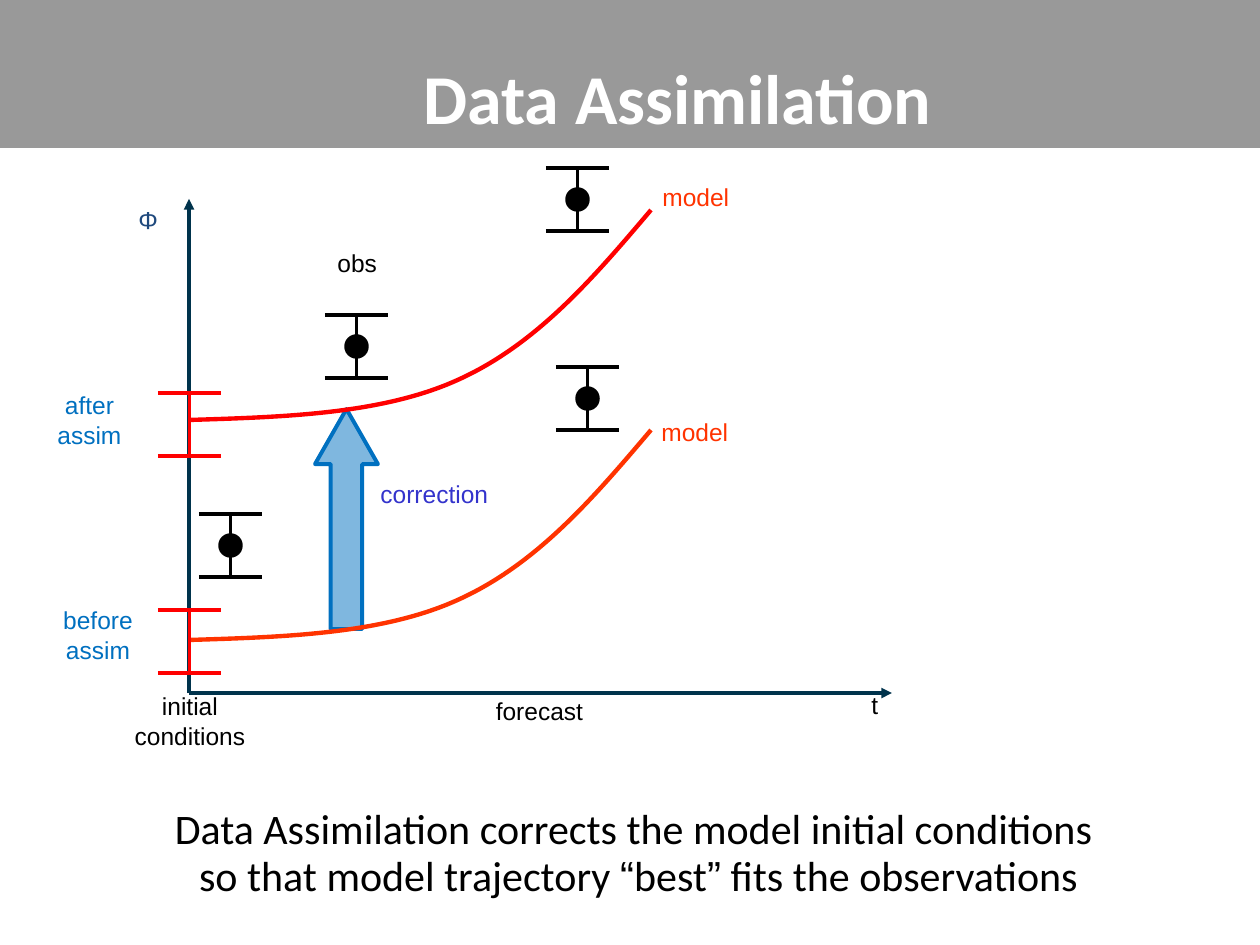
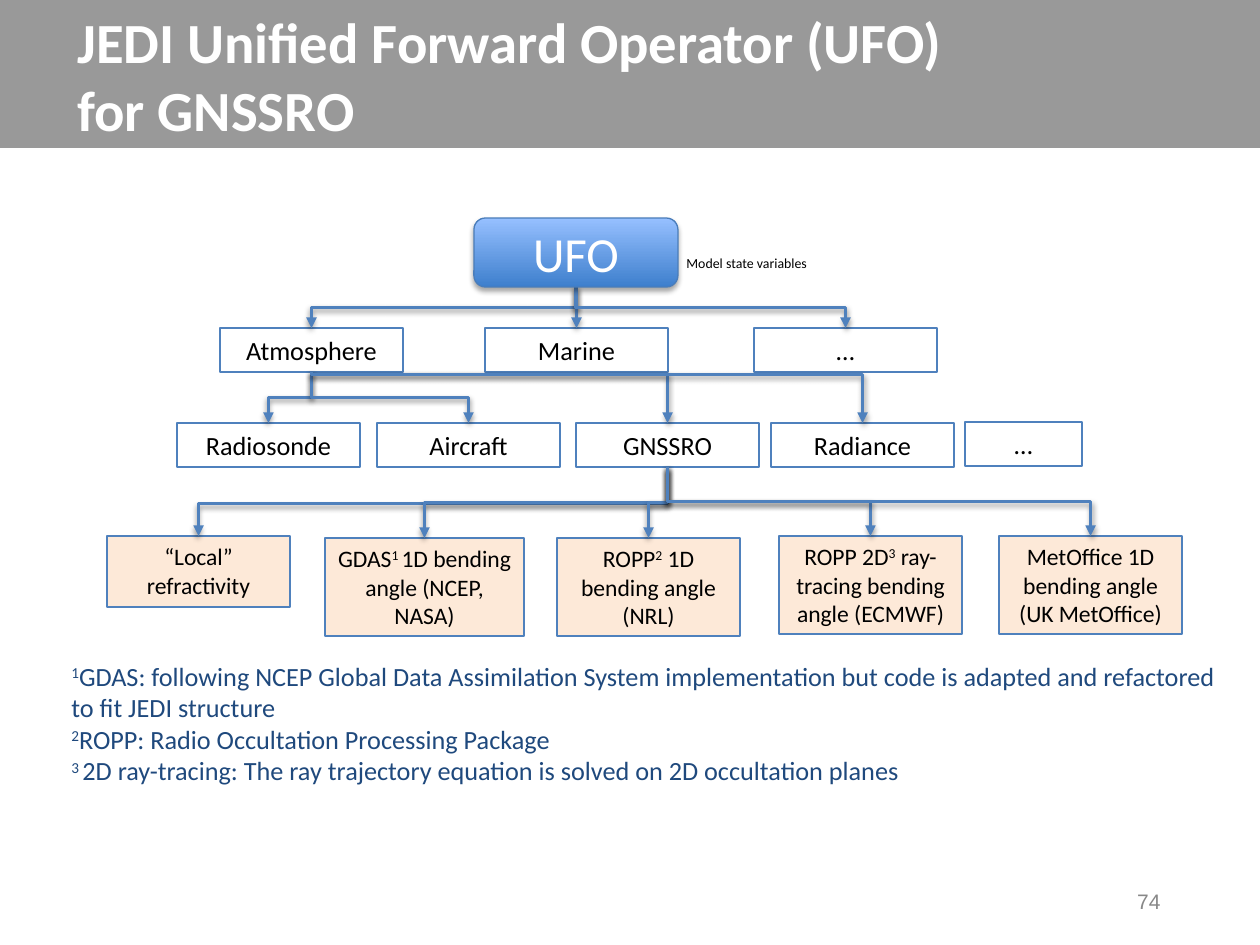
import pptx
import pptx.util
import pptx.dml.color
import pptx.enum.shapes
import pptx.enum.text
import pptx.oxml
import pptx.oxml.ns
from lxml import etree

PX = 914400 / 126
BLACK, WHITE, BLUE, NAVY = "000000", "FFFFFF", "4F81BD", "1F497D"
RED, ORANGE, SKY, AXIS = "FF0000", "FF3300", "0070C0", "00334C"
PEACH = "FDE9D8"
SHAPE = pptx.enum.shapes.MSO_SHAPE
CONNECTOR = pptx.enum.shapes.MSO_CONNECTOR
ANCHOR = pptx.enum.text.MSO_ANCHOR
AUTO = pptx.enum.text.MSO_AUTO_SIZE
ALIGN = {"l": pptx.enum.text.PP_ALIGN.LEFT,
         "c": pptx.enum.text.PP_ALIGN.CENTER,
         "r": pptx.enum.text.PP_ALIGN.RIGHT}
qn = pptx.oxml.ns.qn


def emu(*lengths):
    return [pptx.util.Emu(round(n * PX)) for n in lengths]


def rgb(color):
    return pptx.dml.color.RGBColor.from_string(color)


def set_line(sp, color, width):
    sp.line.color.rgb = rgb(color)
    sp.line.width = pptx.util.Pt(width)


def set_effects(sp, alpha=0, blur=0, dist=0):
    spPr = sp._element.spPr
    for old in spPr.findall(qn("a:effectLst")):
        spPr.remove(old)
    effects = etree.SubElement(spPr, qn("a:effectLst"))
    if alpha:
        shadow = etree.SubElement(
            effects, qn("a:outerShdw"), blurRad=str(round(blur * 12700)),
            dist=str(round(dist * 12700)), dir="5400000", rotWithShape="0")
        clr = etree.SubElement(shadow, qn("a:srgbClr"), val=BLACK)
        etree.SubElement(clr, qn("a:alpha"), val=str(alpha * 1000))


def add_box(s, kind, box, fill=None, line=None, width=1, alpha=100):
    sp = s.shapes.add_shape(kind, *emu(*box))
    sp.shadow.inherit = False
    if fill:
        sp.fill.solid()
        sp.fill.fore_color.rgb = rgb(fill)
        if alpha < 100:
            clr = sp._element.spPr.find(qn("a:solidFill"))[0]
            etree.SubElement(clr, qn("a:alpha"), val=str(alpha * 1000))
    else:
        sp.fill.background()
    if line:
        set_line(sp, line, width)
    else:
        sp.line.fill.background()
    return sp


def write(sp, paragraphs, size, color=BLACK, font="Calibri", align="l", bold=False,
          anchor=ANCHOR.TOP, wrap=True, grow=False, accent_font=None):
    tf = sp.text_frame
    tf.word_wrap = wrap
    tf.auto_size = AUTO.SHAPE_TO_FIT_TEXT if grow else AUTO.NONE
    tf.vertical_anchor = anchor
    for i, text in enumerate(paragraphs):
        p = tf.add_paragraph() if i else tf.paragraphs[0]
        p.alignment = ALIGN[align]
        for j, part in enumerate(text.split("^")):
            if not part:
                continue
            r = p.add_run()
            r.text = part
            r.font.size = pptx.util.Pt(size)
            r.font.bold = bold
            r.font.color.rgb = rgb(color)
            r.font.name = font
            if j % 2 and accent_font:
                r.font.name = accent_font
            elif j % 2:
                r.font._element.set("baseline", "30000")
    return tf


def add_text(s, box, paragraphs, size, **style):
    return write(s.shapes.add_textbox(*emu(*box)), paragraphs, size, **style)


def add_arrowhead(c):
    etree.SubElement(c.line._get_or_add_ln(), qn("a:tailEnd"), type="triangle")


def add_line(s, x1, y1, x2, y2, color, arrow=False):
    c = s.shapes.add_connector(CONNECTOR.STRAIGHT, *emu(x1, y1, x2, y2))
    set_line(c, color, 2)
    if arrow:
        add_arrowhead(c)
    set_effects(c)


def add_branch(s, parent, child, bend):
    x1, y1 = parent[0] + parent[2] / 2, parent[1] + parent[3]
    x2, y2 = child[0] + child[2] / 2, child[1]
    w, h = y2 - y1, abs(x2 - x1)
    left, top = (x1 + x2 - w) / 2, (y1 + y2 - h) / 2
    c = s.shapes.add_connector(CONNECTOR.ELBOW, *emu(left, top, left + w, top + h))
    xfrm = c._element.spPr.find(qn("a:xfrm"))
    if x2 < x1:
        xfrm.set("rot", "5400000")
    else:
        xfrm.set("rot", "16200000")
        xfrm.set("flipH", "1")
    guides = c._element.spPr.find(qn("a:prstGeom")).find(qn("a:avLst"))
    etree.SubElement(guides, qn("a:gd"), name="adj1", fmla=f"val {round(bend * 100000)}")
    set_line(c, BLUE, 2)
    add_arrowhead(c)
    set_effects(c, 38, 3.1, 1.6)


def add_header(s, box, title, size, align):
    add_box(s, SHAPE.RECTANGLE, (0, 0, 1260, 148), BLACK, alpha=40)
    add_text(s, box, [title], size, color=WHITE, align=align, bold=True,
             anchor=ANCHOR.MIDDLE)


def add_error_bar(s, x, y, color, dot=False):
    size = 63
    for bar_y in (y, y + size):
        add_line(s, x, bar_y, x + size, bar_y, color)
    add_line(s, x + size / 2, y, x + size / 2, y + size, color)
    if dot:
        add_box(s, SHAPE.OVAL, (x + 21, y + 21, 21, 21), color, color, 2)


def add_trajectory(s, x, y, color):
    points = [(0, 210), (98, 207), (197, 204), (273, 168), (350, 132), (406, 66), (462, 0)]
    points = [emu(x + dx, y + dy) for dx, dy in points]
    builder = s.shapes.build_freeform(*points[0])
    builder.add_line_segments(points[1:], close=False)
    sp = builder.convert_to_shape()
    path = next(sp._element.iter(qn("a:path")))
    steps = path.findall(qn("a:lnTo"))
    for i in range(0, len(steps), 3):
        curve = etree.SubElement(path, qn("a:cubicBezTo"))
        for step in steps[i:i + 3]:
            curve.append(step[0])
            path.remove(step)
    sp.shadow.inherit = False
    sp.fill.background()
    set_line(sp, color, 2.5)


def add_assimilation_plot(s, x, y, w, h):
    add_line(s, x, y + h, x + w, y + h, AXIS, arrow=True)
    add_line(s, x, y + h, x, y, AXIS, arrow=True)
    arrow = add_box(s, SHAPE.UP_ARROW, (x + 126, y + 210, 63, 220), SKY, SKY, 2.25, 50)
    arrow.adjustments[0], arrow.adjustments[1] = 0.5, 0.875
    for dx, dy in ((136, 116), (357, -31), (367, 168), (10, 315)):
        add_error_bar(s, x + dx, y + dy, BLACK, dot=True)
    for curve_y, bar_y, color in ((231, 411, ORANGE), (11, 194, RED)):
        add_trajectory(s, x, y + curve_y, color)
        add_error_bar(s, x - 31, y + bar_y, RED)
    labels = [
        (670, 485, 35, 54, ["t"], BLACK, "l"),
        (-63, 0, 52, 54, ["Φ"], NAVY, "l"),
        (179, 274, 198, 63, ["correction"], "3333CC", "l"),
        (-67, 486, 136, 72, ["initial", "conditions"], BLACK, "c"),
        (136, 43, 84, 54, ["obs"], BLACK, "l"),
        (460, 212, 121, 54, ["model"], ORANGE, "l"),
        (461, -23, 121, 54, ["model"], ORANGE, "l"),
        (-139, 400, 96, 72, ["before", "assim"], SKY, "c"),
        (-144, 185, 89, 72, ["after", "assim"], SKY, "c"),
        (294, 491, 113, 43, ["forecast"], BLACK, "c"),
    ]
    for dx, dy, lw, lh, text, color, align in labels:
        add_text(s, (x + dx, y + dy, lw, lh), text, 14, color=color, font="Arial",
                 align=align, wrap=False, grow=True)


def add_conclusion(s, box):
    tf = add_text(s, box, ["Data Assimilation corrects the model initial conditions ",
                           "so that model trajectory ^“^best^”^ fits the observations"],
                  24, align="c", accent_font="Arial")
    for p in tf.paragraphs:
        p.line_spacing = 0.8
    tf.paragraphs[1].space_before = pptx.util.Pt(3.6)


def add_root(s, box):
    sp = add_box(s, SHAPE.ROUNDED_RECTANGLE, box, BLUE, "4A7DBA", 0.75)
    sp.fill.gradient()
    sp.fill.gradient_angle = 90
    for stop, color in zip(sp.fill.gradient_stops, ("3E7FCD", "96C0FF")):
        stop.color.rgb = rgb(color)
    set_effects(sp, 35, 3.1, 1.8)
    write(sp, ["UFO"], 28, color=WHITE, align="c", anchor=ANCHOR.MIDDLE)


def add_level(s, x, y, parent, nodes, size, fill=None):
    boxes = []
    for dx, dy, w, h, text, bend in nodes:
        box = (x + dx, y + dy, w, h)
        sp = add_box(s, SHAPE.RECTANGLE, box, fill, BLUE)
        write(sp, [text], size, align="c", grow=True)
        if bend:
            add_branch(s, parent, box, bend)
        boxes.append(box)
    return boxes


def add_operator_tree(s, x, y):
    w, h = 183, 44
    root = (x + 367, y, 204, 69)
    domains = [(113, 0, w, h, "Atmosphere", 0.5), (378, 0, w, h, "Marine", 0.5),
               (647, 0, w, h, "…", 0.5)]
    sources = [(70, 0, w, h, "Radiosonde", 0.5), (270, 0, w, h, "Aircraft", 0.5),
               (469, 0, w, h, "GNSSRO", 0.05), (664, 0, w, h, "Radiance", 0.05),
               (858, -1, 117, h, "…", None)]
    operators = [(0, 0, w, 71, "“Local” refractivity", 0.53),
                 (218, 2, 199, 98, "GDAS^1 ^1D bending angle (NCEP, NASA)", 0.5),
                 (450, 2, w, 98, "ROPP^2^ 1D bending angle (NRL)", 0.5),
                 (672, 0, w, 98, "ROPP 2D^3^ ray-tracing bending angle (ECMWF)", 0.5),
                 (892, 0, w, 98, "MetOffice 1D bending angle (UK MetOffice)", 0.5)]
    atmosphere = add_level(s, x, y + 110, root, domains, 15)[0]
    gnssro = add_level(s, x, y + 205, atmosphere, sources, 15)[2]
    add_level(s, x, y + 318, gnssro, operators, 13.5, PEACH)
    add_root(s, root)
    add_text(s, (x + 567, y + 30, 146, 29), ["Model state variables"], 7.9, grow=True)


def add_footnotes(s, box):
    add_text(s, box, [
        "^1^GDAS: following NCEP Global Data Assimilation System implementation "
        "but code is adapted and refactored to fit JEDI structure",
        "^2^ROPP: Radio Occultation Processing Package",
        "^3 ^2D ray-tracing: The ray trajectory equation is solved on 2D occultation planes",
    ], 15, color=NAVY, grow=True)


def build_assimilation_slide(s):
    add_header(s, (95, 18, 1165, 157), "Data Assimilation", 40, "c")
    add_conclusion(s, (103, 806, 1071, 117))
    add_assimilation_plot(s, 189, 199, 703, 494)


def build_operator_slide(s):
    add_header(s, (65, 15, 943, 119),
               "JEDI Unified Forward Operator (UFO) for GNSSRO", 32.4, "l")
    add_footnotes(s, (59, 654, 1179, 171))
    add_operator_tree(s, 107, 218)
    add_text(s, (890, 876, 283, 50), ["74"], 12, color="888888", font="Arial",
             align="r", anchor=ANCHOR.MIDDLE)


def main():
    prs = pptx.Presentation()
    prs.slide_width, prs.slide_height = emu(1260, 945)
    for build in (build_assimilation_slide, build_operator_slide):
        build(prs.slides.add_slide(prs.slide_layouts[6]))
    prs.save("out.pptx")


if __name__ == "__main__":
    main()
